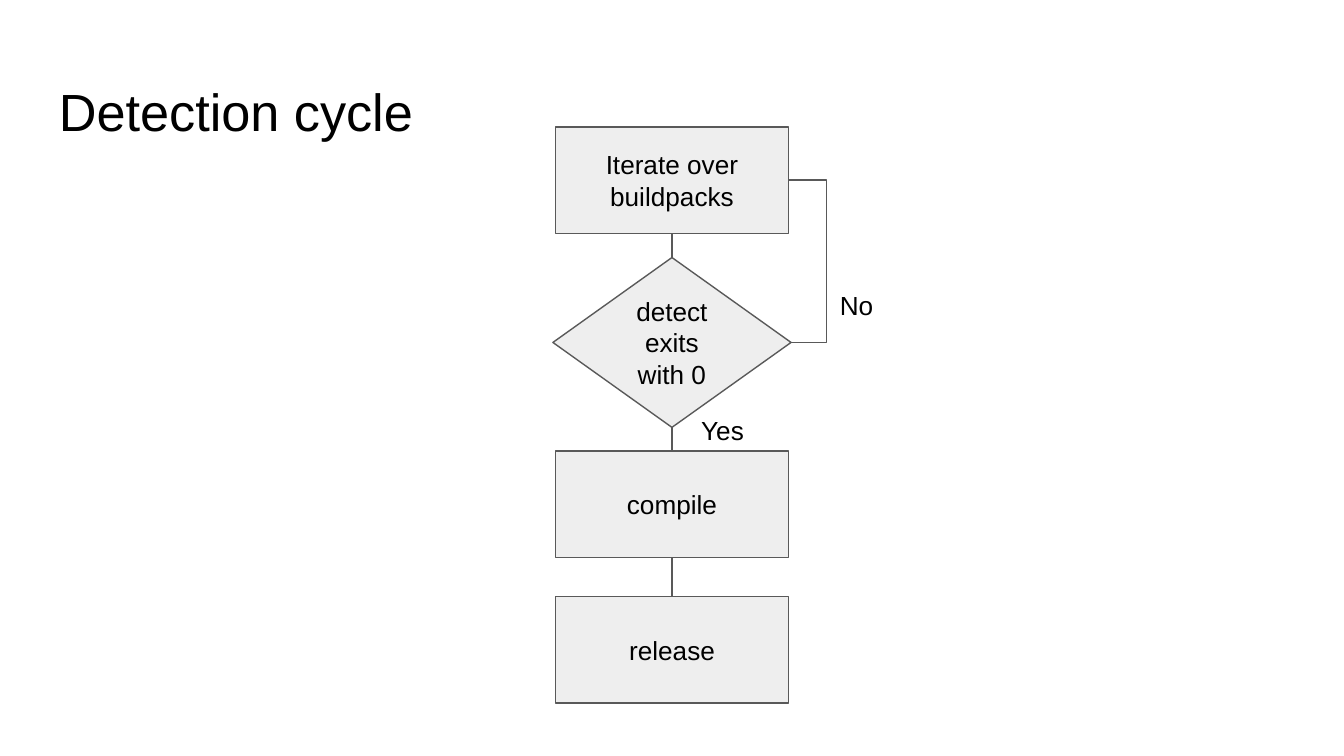
from pptx import Presentation
from pptx import util as u
from pptx.dml.color import RGBColor
from pptx.enum import shapes, text
from pptx.oxml import parse_xml
from pptx.oxml.ns import nsdecls, qn

Pt = u.Pt
INK, FILL, LINE = "000000", "EEEEEE", "595959"
TOP, BOTTOM, RIGHT = 0, 2, 3  # connection sites
CENTER = 360


def color(value):
    return RGBColor.from_string(value)


def set_text(shape, words, size, align=text.PP_ALIGN.LEFT, anchor=text.MSO_ANCHOR.TOP):
    frame = shape.text_frame
    frame.text = words
    frame.word_wrap = True
    frame.vertical_anchor = anchor
    frame.margin_left = frame.margin_right = Pt(7.2)
    frame.margin_top = frame.margin_bottom = Pt(7.2)
    paragraph = frame.paragraphs[0]
    paragraph.alignment = align
    for run in paragraph.runs:
        run.font.name = "Arial"
        run.font.size = Pt(size)
        run.font.color.rgb = color(INK)


def add_label(slide, words, left, top, width, height, size=14):
    label = slide.shapes.add_textbox(Pt(left), Pt(top), Pt(width), Pt(height))
    set_text(label, words, size)


def add_step(slide, words, top, kind=shapes.MSO_SHAPE.FLOWCHART_PROCESS,
             width=124.8, height=57):
    step = slide.shapes.add_shape(
        kind, Pt(CENTER - width / 2), Pt(top), Pt(width), Pt(height))
    step.shadow.inherit = False
    step.fill.solid()
    step.fill.fore_color.rgb = color(FILL)
    step.line.color.rgb = color(LINE)
    step.line.width = Pt(0.75)
    set_text(step, words, 14, text.PP_ALIGN.CENTER, text.MSO_ANCHOR.MIDDLE)
    return step


def join(slide, start, start_site, end, end_site, kind=shapes.MSO_CONNECTOR.STRAIGHT):
    link = slide.shapes.add_connector(kind, 0, 0, 0, 0)
    link.begin_connect(start, start_site)
    link.end_connect(end, end_site)
    link.line.color.rgb = color(LINE)
    link.line.width = Pt(0.75)
    link._element.spPr.append(parse_xml(f"<a:effectLst {nsdecls('a')}/>"))
    return link


def bend_at(link, x):
    """Put the vertical leg of an elbow connector at x."""
    share = round((Pt(x) - link.begin_x) / link.width * 100000)
    geometry = link._element.spPr.find(qn("a:prstGeom"))
    geometry.get_or_add_avLst().append(
        parse_xml(f'<a:gd {nsdecls("a")} name="adj1" fmla="val {share}"/>'))


def main():
    prs = Presentation()
    prs.slide_width, prs.slide_height = Pt(720), Pt(405)
    slide = prs.slides.add_slide(prs.slide_layouts[6])

    # Title
    add_label(slide, "Detection cycle", 24.5, 35.2, 671, 45, size=28)

    # Steps
    iterate = add_step(slide, "Iterate over buildpacks", 68)
    detect = add_step(slide, "detect exits with 0", 138,
                      shapes.MSO_SHAPE.FLOWCHART_DECISION, 127.6, 91)
    build = add_step(slide, "compile", 241.6)
    release = add_step(slide, "release", 319.6)

    # Downward links
    steps = [iterate, detect, build, release]
    for upper, lower in zip(steps, steps[1:]):
        join(slide, upper, BOTTOM, lower, TOP)

    # Loop back to the next buildpack
    loop = join(slide, iterate, RIGHT, detect, RIGHT, shapes.MSO_CONNECTOR.ELBOW)
    bend_at(loop, 442.8)

    # Branch labels
    add_label(slide, "No", 442.8, 147.6, 34.6, 35)
    add_label(slide, "Yes", 368.6, 214.6, 41, 35)

    prs.save("out.pptx")


if __name__ == "__main__":
    main()
